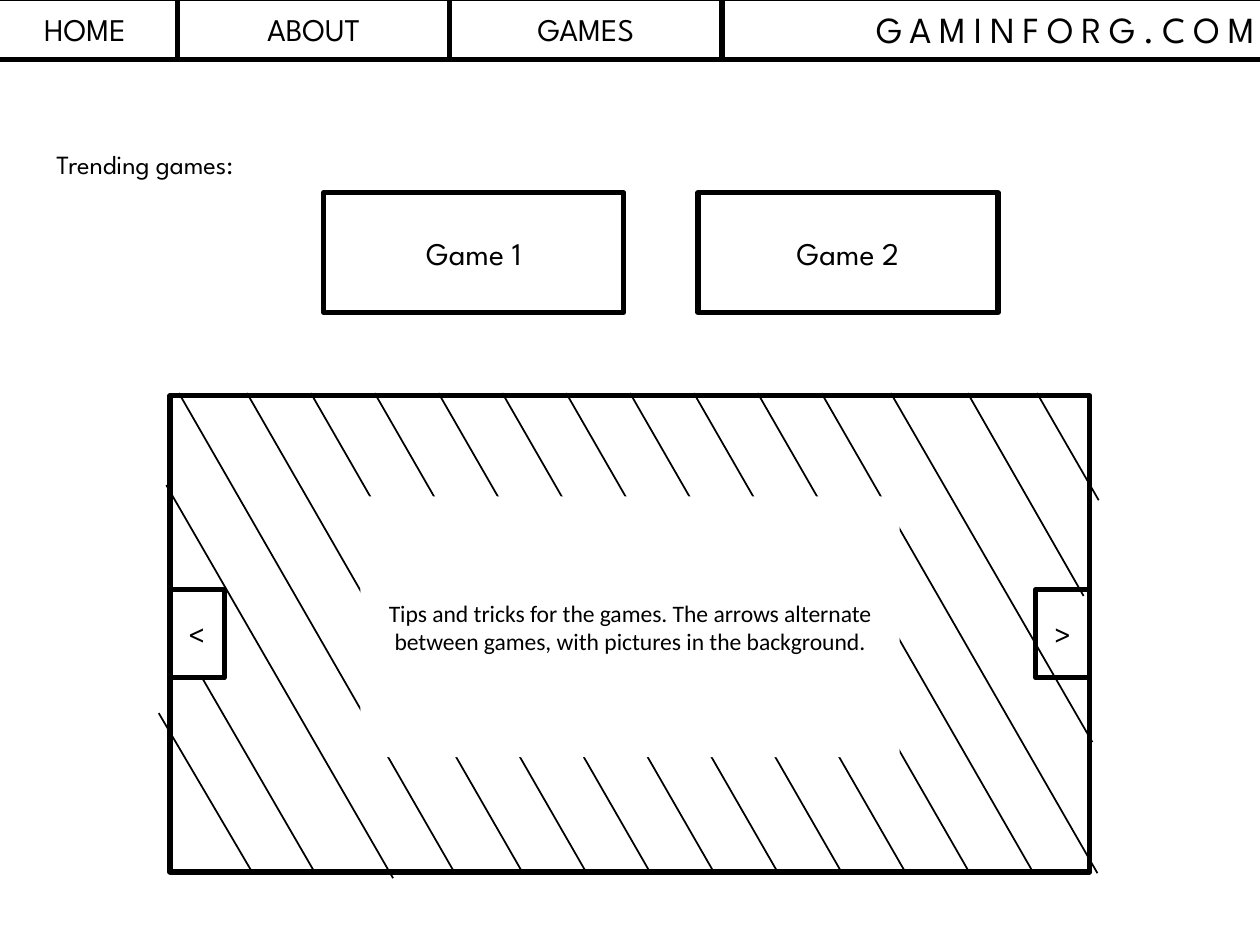
from pptx import Presentation
from pptx.dml.color import RGBColor
from pptx.enum.shapes import MSO_CONNECTOR as CONN, MSO_SHAPE as SHAPE
from pptx.enum.text import MSO_ANCHOR as ANCHOR, MSO_AUTO_SIZE as FIT, PP_ALIGN as ALIGN
from pptx.oxml.ns import qn
from pptx.util import Inches, Pt
from lxml import etree

BLACK = RGBColor(0, 0, 0)
WHITE = RGBColor(255, 255, 255)
HEAD, BODY = "League Spartan", "Calibri"

# Content
SITE = "GAMINFORG.COM"
MENU = [("HOME", 1.47), ("ABOUT", 2.16), ("GAMES", 2.16)]
TREND = "Trending games:"
GAMES = ["Game 1", "Game 2"]
TIPS = ("Tips and tricks for the games. The arrows alternate "
        "between games, with pictures in the background.")

# Places: left, top, width, height
BAR_X, BAR_Y, BAR_H = -0.06, -0.01, 0.48
PANEL = (1.35, 3.14, 7.3, 3.78)
BTN_Y, BTN_W, BTN_H = 4.68, 0.43, 0.7
TIP_BOX = (2.86, 3.94, 4.28, 2.07)

# Hatching: full strokes start along the top, short ones sit in the corners
TOP, LOW, RUN = 3.12, 6.93, 2.19
FULL = [1.42] + [1.96 + 4.56 / 9 * i for i in range(10)]
SHORT = [
    (7.07, TOP, 8.67, 5.89), (7.68, TOP, 8.6, 4.73), (8.23, TOP, 8.72, 3.97),
    (1.26, 5.66, 2, 6.92), (1.61, 5.39, 2.49, 6.91), (1.32, 3.85, 3.12, 6.97),
]

prs = Presentation()
prs.slide_width, prs.slide_height = Inches(10), Inches(7.5)
slide = prs.slides.add_slide(prs.slide_layouts[5])
shapes = slide.shapes


def write(shape, text, size=18, font=HEAD, align=ALIGN.CENTER):
    frame = shape.text_frame
    form = {"word_wrap": True, "auto_size": FIT.NONE,
            "vertical_anchor": ANCHOR.MIDDLE}
    for key, val in form.items():
        setattr(frame, key, val)
    para = frame.paragraphs[0]
    para.alignment = align
    run = para.add_run()
    run.text = text
    for key, val in {"name": font, "size": Pt(size)}.items():
        setattr(run.font, key, val)
    run.font.color.rgb = BLACK
    return run


def edge(shape, width=3):
    shape.line.color.rgb = BLACK
    shape.line.width = Pt(width)


def box(place, text="", fill=None, line=True, **form):
    shape = shapes.add_shape(SHAPE.RECTANGLE, *map(Inches, place))
    shape.shadow.inherit = False
    if fill is None:
        shape.fill.background()
    else:
        shape.fill.solid()
        shape.fill.fore_color.rgb = fill
    if line:
        edge(shape)
    else:
        shape.line.fill.background()
    if text:
        write(shape, text, **form)


def stroke(*ends):
    line = shapes.add_connector(CONN.STRAIGHT, *map(Inches, ends))
    edge(line, 1)
    etree.SubElement(line._element.spPr, qn("a:effectLst"))


# Menu bar, with the site name as title
left = BAR_X
for name, width in MENU:
    box((left, BAR_Y, width, BAR_H), name)
    left += width
title = shapes.title
spot = {"left": left, "top": BAR_Y, "width": 4.33, "height": BAR_H}
for key, val in spot.items():
    setattr(title, key, Inches(val))
edge(title)
run = write(title, SITE, size=21, align=ALIGN.RIGHT)
run.font._element.set("spc", "450")

# Tips panel with its arrow buttons
box(PANEL, fill=WHITE)
right = PANEL[0] + PANEL[2] - BTN_W
for sign, x in (("<", PANEL[0]), (">", right)):
    box((x, BTN_Y, BTN_W, BTN_H), sign)
for x in FULL:
    stroke(x, TOP, x + RUN, LOW)
for ends in SHORT:
    stroke(*ends)
box(TIP_BOX, TIPS, fill=WHITE, line=False, size=13.5, font=BODY)

# Trending games
box((0.07, 1.14, 2.16, 0.33), TREND, fill=WHITE, line=False, size=15)
for i, name in enumerate(GAMES):
    box((2.57 + 2.97 * i, 1.53, 2.38, 0.95), name)

prs.save("out.pptx")
